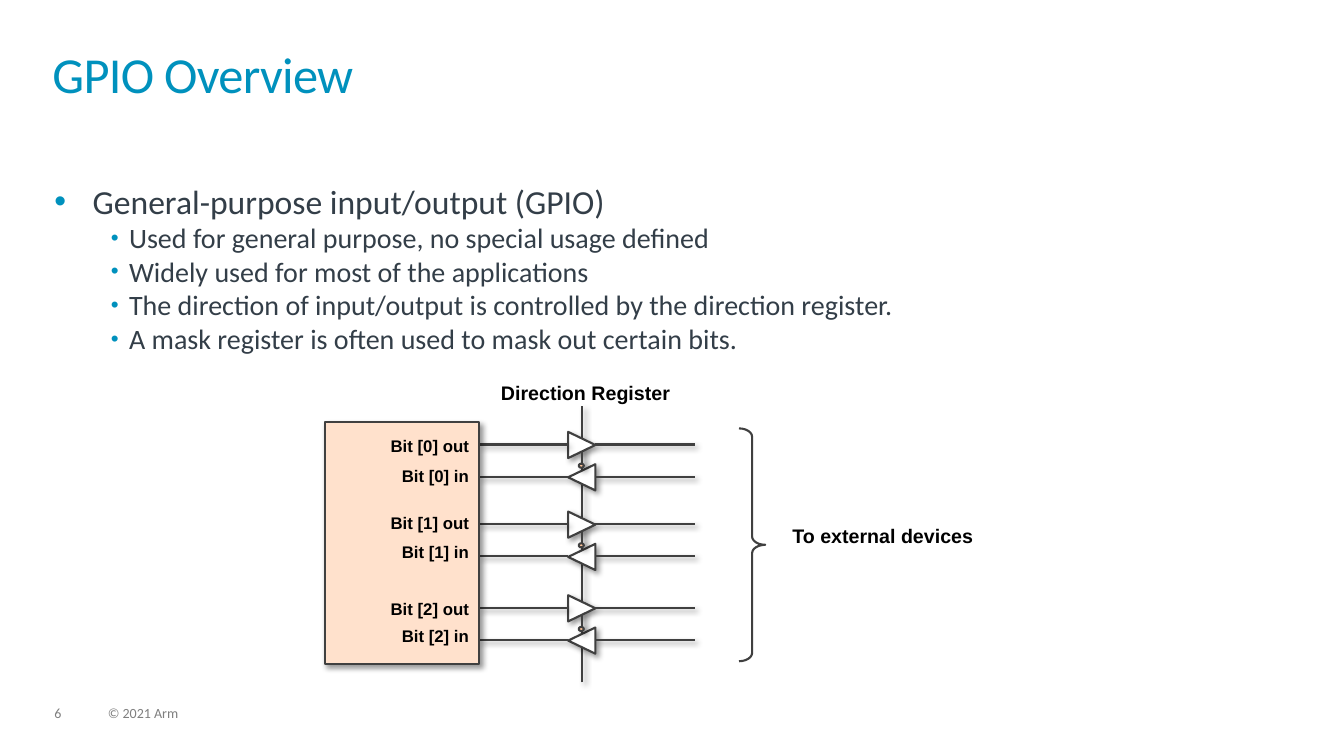
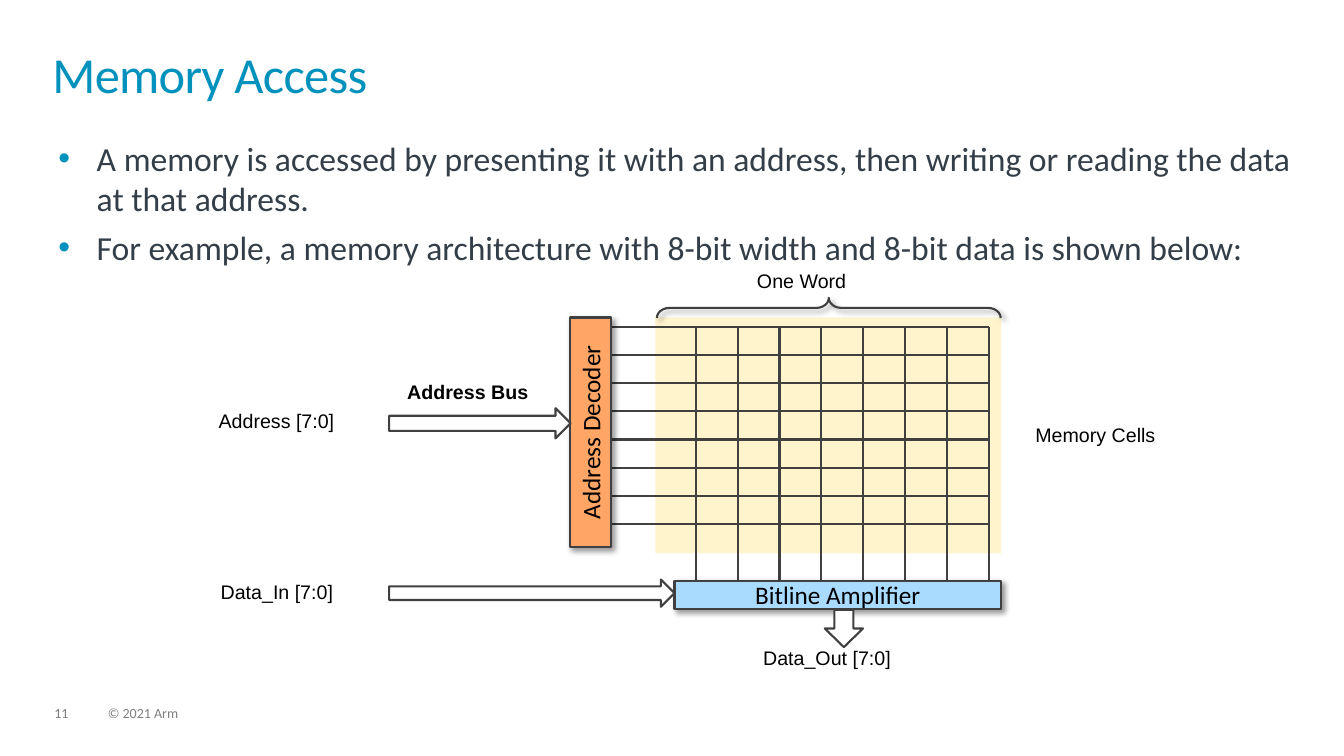
"""Build two slides on GPIO and memory access."""
from typing import NamedTuple

from lxml.etree import SubElement
from pptx import Presentation
from pptx.dml.color import RGBColor
from pptx.enum.shapes import MSO_CONNECTOR as Link, MSO_SHAPE as Form
from pptx.enum.text import MSO_ANCHOR as Anchor, PP_ALIGN as Align
from pptx.oxml.ns import qn
from pptx.util import Inches, Pt

TEAL, SLATE, GRAY = "0091BD", "333E48", "7F7F7F"
INK, BLACK, WHITE = "404040", "000000", "FFFFFF"
PEACH, PALE, ORANGE = "FFC499", "FFE1CC", "FFA666"
CREAM, SKY = "FFF4CC", "A8DBFF"


class Box(NamedTuple):
    x: float
    y: float
    w: float
    h: float


class Font(NamedTuple):
    size: float
    color: str = BLACK
    face: str = "Arial"
    bold: bool = False


class Item(NamedTuple):
    text: str
    level: int = 0
    gap: float = 0


class Level(NamedTuple):
    size: float
    left: float
    hang: float
    scale: int


class Port(NamedTuple):
    wire: float
    out_y: float
    in_y: float


class Label(NamedTuple):
    text: str
    box: Box
    font: Font


class Arrow(NamedTuple):
    form: Form
    box: Box
    fill: str | None


TITLE = Font(36, TEAL, "Calibri")
FOOT = Font(10, GRAY, "Calibri")
BLOCK = Font(18, BLACK, "Calibri")
PLAIN = Font(14)
BOLD = Font(14, bold=True)
SMALL = Font(12, bold=True)
LEVELS = (Level(24, 0.38, 0.38, 100), Level(20, 0.74, 0.18, 80))


def rgb(code: str) -> RGBColor:
    return RGBColor.from_string(code)


def style(para, font: Font) -> None:
    for run in para.runs:
        run.font.size = Pt(font.size)
        run.font.name = font.face
        run.font.bold = font.bold
        run.font.color.rgb = rgb(font.color)


def place(box: Box) -> tuple:
    return tuple(Inches(side) for side in box)


def write(slide, text: str, box: Box, font: Font, flush: bool = False, align=Align.LEFT):
    frame = slide.shapes.add_textbox(*place(box)).text_frame
    frame.word_wrap = True
    if flush:
        clear(frame)
    frame.text = text
    para = frame.paragraphs[0]
    para.alignment = align
    style(para, font)
    return para


def clear(frame) -> None:
    frame.margin_left = frame.margin_right = 0
    frame.margin_top = frame.margin_bottom = 0


def shade(effect) -> None:
    glow = SubElement(effect, qn("a:outerShdw"), blurRad=str(Pt(4)), dist=str(Pt(3)),
                      dir="2700000", algn="tl", rotWithShape="0")
    tint = SubElement(glow, qn("a:srgbClr"), val=BLACK)
    SubElement(tint, qn("a:alpha"), val="40000")


def line(slide, x1: float, y1: float, x2: float, y2: float, dark: bool = False) -> None:
    link = slide.shapes.add_connector(Link.STRAIGHT, *place(Box(x1, y1, x2, y2)))
    link.line.color.rgb = rgb(INK)
    link.line.width = Pt(1.5)
    effect = SubElement(link._element.spPr, qn("a:effectLst"))
    if dark:
        shade(effect)


def draw(slide, form, box: Box, fill: str | None = None, edge: bool = True,
         dark: bool = False, turn: float = 0, bend: float | None = None):
    shape = slide.shapes.add_shape(form, *place(box))
    shape.rotation = turn
    if bend is not None:
        shape.adjustments[0] = bend
    if fill:
        shape.fill.solid()
        shape.fill.fore_color.rgb = rgb(fill)
    else:
        shape.fill.background()
    if edge:
        shape.line.color.rgb = rgb(INK)
        shape.line.width = Pt(1.5)
    else:
        shape.line.fill.background()
    shape.shadow.inherit = False
    if dark:
        shade(shape._element.spPr.find(qn("a:effectLst")))
    return shape


def block(slide, text: str, box: Box, fill: str, turned: bool = False) -> None:
    frame = draw(slide, Form.RECTANGLE, box, fill, dark=True).text_frame
    frame.text = text
    frame.word_wrap = False
    frame.vertical_anchor = Anchor.MIDDLE
    if turned:
        frame._txBody.bodyPr.set("vert", "vert270")
    frame.paragraphs[0].alignment = Align.CENTER
    style(frame.paragraphs[0], BLOCK)


def body(slide, box: Box, items: list[Item]) -> None:
    frame = slide.shapes.add_textbox(*place(box)).text_frame
    frame.word_wrap = True
    clear(frame)
    frame.text = "\n".join(item.text for item in items)
    for para, item in zip(frame.paragraphs, items):
        level = LEVELS[item.level]
        props = para._p.get_or_add_pPr()
        props.set("marL", str(Inches(level.left)))
        props.set("indent", str(-Inches(level.hang)))
        SubElement(SubElement(props, qn("a:buClr")), qn("a:srgbClr"), val=TEAL)
        SubElement(props, qn("a:buSzPct"), val=str(level.scale * 1000))
        SubElement(props, qn("a:buFont"), typeface="Arial")
        SubElement(props, qn("a:buChar"), char="•")
        para.level = item.level
        para.space_before = Pt(item.gap)
        style(para, Font(level.size, SLATE, "Calibri"))


def start(deck, title: str, number: int):
    slide = deck.slides.add_slide(deck.slide_layouts[6])
    for text, x, w in ((str(number), 0.54, 0.34), ("© 2021 Arm", 1.07, 5.07)):
        para = write(slide, text, Box(x, 7.01, w, 0.15), FOOT, flush=True)
        para.line_spacing = 0.9
    head = write(slide, title, Box(0.52, 0.52, 12.28, 0.72), TITLE, flush=True)
    head.line_spacing = 0.85
    for run in head.runs:
        run.font._element.set("spc", "-50")
    return slide


def gate(slide, port: Port) -> None:
    mid, low = 5.77, port.wire + 0.32
    for y, turn in ((port.wire, 90), (low, 270)):
        draw(slide, Form.ISOSCELES_TRIANGLE, Box(mid - 0.13, y - 0.13, 0.26, 0.27),
             WHITE, dark=True, turn=turn)
        line(slide, 4.75, y, 5.63, y, dark=True)
        line(slide, 5.9, y, 6.89, y, dark=True)
    line(slide, mid, port.wire + 0.19, mid, port.wire + 0.07, dark=True)
    draw(slide, Form.OVAL, Box(mid - 0.03, port.wire + 0.19, 0.05, 0.04), PEACH, dark=True)


def gpio(deck) -> None:
    slide = start(deck, "GPIO Overview", 6)
    body(slide, Box(0.54, 1.79, 12.23, 4.47), [
        Item("General-purpose input/output (GPIO)"),
        Item("Used for general purpose, no special usage defined", 1),
        Item("Widely used for most of the applications", 1),
        Item("The direction of input/output is controlled by the direction register.", 1),
        Item("A mask register is often used to mask out certain bits.", 1),
    ])
    ports = (Port(4.41, 4.27, 4.57), Port(5.2, 5.04, 5.33), Port(6.03, 5.89, 6.16))
    line(slide, 5.77, 6.77, 5.77, 4.03, dark=True)
    for port in ports:
        gate(slide, port)
    draw(slide, Form.RECTANGLE, Box(3.22, 4.19, 1.53, 2.4), PALE, dark=True)
    for bit, port in enumerate(ports):
        for way, y in (("out", port.out_y), ("in", port.in_y)):
            write(slide, f"Bit [{bit}] {way}", Box(3.5, y, 1.25, 0.27), SMALL,
                  align=Align.RIGHT)
    write(slide, "Direction Register", Box(4.87, 3.73, 2.02, 0.34), BOLD)
    write(slide, "To external devices", Box(7.76, 5.15, 2.02, 0.3), BOLD)
    draw(slide, Form.RIGHT_BRACE, Box(7.33, 4.25, 0.26, 2.31), bend=0.318)


def memory(deck) -> None:
    slide = start(deck, "Memory Access", 11)
    body(slide, Box(0.58, 1.37, 12.23, 4.47), [
        Item("A memory is accessed by presenting it with an address, "
             "then writing or reading the data at that address."),
        Item("For example, a memory architecture with 8-bit width and 8-bit data "
             "is shown below:", gap=6),
    ])
    draw(slide, Form.RECTANGLE, Box(6.5, 3.15, 3.43, 2.34), CREAM, edge=False)
    left, right, top, end = 6.9, 9.81, 3.24, 5.2
    for step in range(8):
        x = left + step * (right - left) / 7
        y = top + step * (end - top) / 7
        line(slide, x, top, x, 5.76)
        line(slide, 6.07, y, right, y)
    block(slide, "Address Decoder", Box(5.65, 3.15, 0.41, 2.28), ORANGE, turned=True)
    block(slide, "Bitline Amplifier", Box(6.69, 5.76, 3.24, 0.28), SKY)
    for arrow in (
        Arrow(Form.RIGHT_ARROW, Box(3.86, 4.05, 1.8, 0.3), None),
        Arrow(Form.RIGHT_ARROW, Box(3.86, 5.75, 2.83, 0.27), WHITE),
        Arrow(Form.DOWN_ARROW, Box(8.18, 6.05, 0.38, 0.37), WHITE),
    ):
        draw(slide, arrow.form, arrow.box, arrow.fill)
    draw(slide, Form.LEFT_BRACE, Box(8.12, 1.35, 0.2, 3.41), dark=True, turn=90, bend=0.623)
    for label in (
        Label("Address [7:0]", Box(2.07, 4.01, 1.86, 0.34), PLAIN),
        Label("Data_In [7:0]", Box(2.09, 5.7, 1.86, 0.34), PLAIN),
        Label("Data_Out [7:0]", Box(7.47, 6.36, 2.21, 0.34), PLAIN),
        Label("Memory Cells", Box(10.17, 4.15, 2.21, 0.34), PLAIN),
        Label("One Word", Box(7.41, 2.62, 1.6, 0.34), PLAIN),
        Label("Address Bus", Box(3.94, 3.72, 1.86, 0.34), BOLD),
    ):
        write(slide, label.text, label.box, label.font)


def main() -> None:
    deck = Presentation()
    deck.slide_width, deck.slide_height = Inches(13.33), Inches(7.5)
    gpio(deck)
    memory(deck)
    deck.save("out.pptx")


if __name__ == "__main__":
    main()
